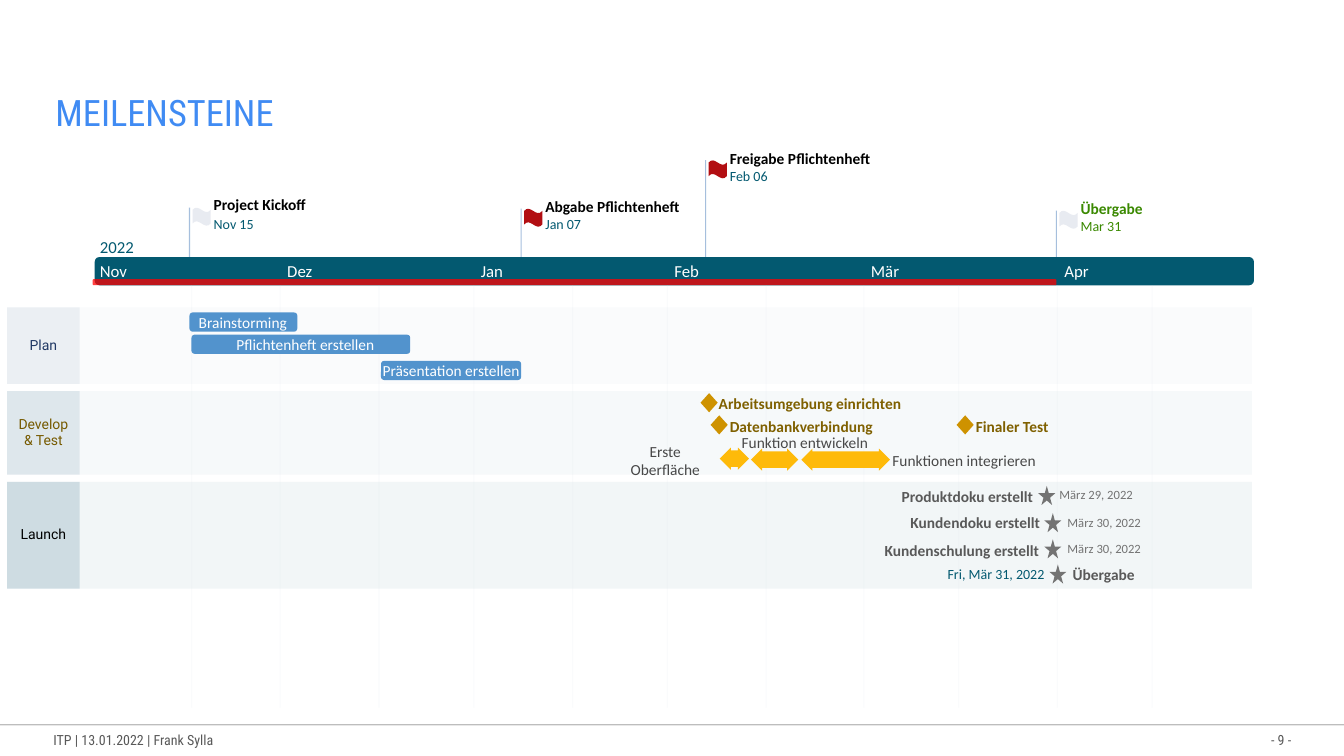
from dataclasses import dataclass
from typing import NamedTuple

from lxml.etree import SubElement
from pptx import Presentation
from pptx.dml.color import RGBColor
from pptx.enum.shapes import MSO_CONNECTOR as Connector, MSO_SHAPE as Shape
from pptx.enum.text import MSO_ANCHOR as Anchor, MSO_AUTO_SIZE as AutoSize, PP_ALIGN as Align
from pptx.oxml.ns import qn
from pptx.util import Inches, Pt

# The slide is a grid of 133.3 columns by 75 rows
CELL = Inches(0.1)
COLUMNS, ROWS = 133.33, 75
LEFT, CENTER, RIGHT = Align.LEFT, Align.CENTER, Align.RIGHT

COLORS = {
    "black": "000000", "white": "FFFFFF", "title": "408BF3", "teal": "035970",
    "plan": "DEE5EC", "develop": "C8D7E0", "launch": "ABC4CF",
    "plan text": "203864", "develop text": "765A00", "stem": "4F81BD",
    "task": "5293CD", "arrow": "FEBA0A", "progress": "FF0000",
    "diamond": "CE9200", "diamond text": "7F6000", "star": "737373",
    "gray": "595959", "dark gray": "484848", "pale flag": "E8EBF1",
    "red flag": "B20E12", "green": "3A8900",
}


class Box(NamedTuple):
    left: float
    top: float
    width: float
    height: float

    def lengths(self) -> list[int]:
        return [round(value * CELL) for value in self]


@dataclass
class Phase:
    name: str
    top: float
    height: float
    color: str
    text_color: str


@dataclass
class Milestone:
    name: str
    date: str
    left: float
    stem_top: float
    name_top: float
    date_top: float
    flag: str
    name_color: str = "black"
    date_color: str = "teal"


@dataclass
class Task:
    name: str
    bar: Box
    text_left: float
    text_width: float


@dataclass
class Label:
    text: str
    box: Box
    color: str
    align: Align = LEFT
    size: float = 11
    bold: bool = False


PHASES = [
    Phase("Plan", 30.5, 7.6, "plan", "plan text"),
    Phase("Develop\n& Test", 38.8, 8.3, "develop", "develop text"),
    Phase("Launch", 47.8, 10.6, "launch", "black"),
]
MILESTONES = [
    Milestone("Project Kickoff", "Nov 15", 18.8, 20.6, 19.3, 21.4, "pale flag"),
    Milestone("Freigabe Pflichtenheft", "Feb 06", 70, 15.9, 14.8, 16.6, "red flag"),
    Milestone("Abgabe Pflichtenheft", "Jan 07", 51.7, 20.7, 19.5, 21.4, "red flag"),
    Milestone("Übergabe", "Mar 31", 104.8, 20.9, 19.7, 21.6, "pale flag", "green", "green"),
]
MONTHS = {"Nov": 9.9, "Dez": 28.5, "Jan": 47.7, "Feb": 66.9, "Mär": 86.4, "Apr": 105.6}
GUIDES = [19, 27.8, 37.6, 47, 56.8, 66.2, 76, 85.7, 95.1, 104.9, 114.3]
TASKS = [
    Task("Brainstorming", Box(18.8, 31, 10.7, 1.9), 19.6, 9),
    Task("Pflichtenheft erstellen", Box(19, 33.2, 21.7, 1.9), 21.7, 17.2),
    Task("Präsentation erstellen", Box(37.8, 35.8, 13.9, 1.9), 37.3, 14.9),
]
ARROWS = [Box(71.4, 44.4, 2.9, 2.2), Box(74.5, 44.5, 4.7, 2.2), Box(79.5, 44.5, 8.8, 2.2)]
DIAMONDS = [(69.5, 39), (70.5, 41.2), (94.9, 41.2)]
STARS = [(103, 48.2), (103.6, 50.9), (103.6, 53.5), (104.1, 56)]
LABELS = [
    Label("Arbeitsumgebung einrichten", Box(71.3, 39.1, 19.7, 1.9), "diamond text", bold=True),
    Label("Datenbankverbindung", Box(72.4, 41.3, 14.3, 1.9), "diamond text", bold=True),
    Label("Finaler Test", Box(96.8, 41.3, 8.5, 1.9), "diamond text", bold=True),
    Label("Erste Oberfläche", Box(60.9, 44.7, 10.2, 1.9), "dark gray", CENTER),
    Label("Funktion entwickeln", Box(73.3, 42.9, 13.1, 1.9), "dark gray", CENTER),
    Label("Funktionen integrieren", Box(88, 44.7, 15.3, 1.9), "dark gray", CENTER),
    Label("Produktdoku erstellt", Box(88.5, 48.3, 14, 1.9), "gray", RIGHT, bold=True),
    Label("Kundendoku erstellt", Box(88.2, 50.9, 15, 1.9), "gray", RIGHT, bold=True),
    Label("Kundenschulung erstellt", Box(86.8, 53.6, 16.3, 1.9), "gray", RIGHT, bold=True),
    Label("Übergabe", Box(106.4, 56, 11.5, 1.9), "gray", bold=True),
    Label("März 29, 2022", Box(105.1, 48.3, 7.8, 1.5), "star", size=9),
    Label("März 30, 2022", Box(105.9, 51.1, 9.4, 1.5), "star", size=9),
    Label("März 30, 2022", Box(105.9, 53.7, 9.4, 1.5), "star", size=9),
    Label("Fri, Mär 31, 2022", Box(92.7, 56.1, 10.9, 1.7), "teal", RIGHT, 10),
]


def paint(fill, color: str, opacity: int) -> None:
    """Make a fill solid, with its opacity in percent."""
    fill.solid()
    fill.fore_color.rgb = RGBColor.from_string(COLORS[color])
    if opacity < 100:
        rgb = next(fill._xPr.iter(qn("a:srgbClr")))
        SubElement(rgb, qn("a:alpha")).set("val", str(opacity * 1000))


def draw_shape(slide, kind: Shape, box: Box, color: str, opacity: int = 100):
    shape = slide.shapes.add_shape(kind, *box.lengths())
    shape.shadow.inherit = False
    shape.line.fill.background()
    paint(shape.fill, color, opacity)
    return shape


def draw_line(slide, start: tuple, end: tuple, color: str, opacity: int, width: float = 0.75) -> None:
    ends = [round(value * CELL) for value in (*start, *end)]
    line = slide.shapes.add_connector(Connector.STRAIGHT, *ends)
    line.line.width = Pt(width)
    paint(line.line.fill, color, opacity)
    SubElement(line._element.spPr, qn("a:effectLst"))


def write(holder, text: str, *, color: str, size: float, font: str = "Calibri", bold: bool = False,
          align: Align = LEFT, anchor: Anchor = Anchor.MIDDLE, wrap: bool = True) -> None:
    frame = holder.text_frame
    frame.margin_left = frame.margin_right = frame.margin_top = frame.margin_bottom = 0
    frame.auto_size = AutoSize.NONE
    frame.word_wrap = wrap
    frame.vertical_anchor = anchor
    frame.text = text
    for paragraph in frame.paragraphs:
        paragraph.alignment = align
        for run in paragraph.runs:
            run.font.name, run.font.size, run.font.bold = font, Pt(size), bold
            run.font.color.rgb = RGBColor.from_string(COLORS[color])


def add_text(slide, box: Box, text: str, **style) -> None:
    write(slide.shapes.add_textbox(*box.lengths()), text, **style)


def draw_frame(slide) -> None:
    """Title, footer rule and footer texts."""
    title = slide.shapes.title
    title.left, title.top, title.width, title.height = Box(5.5, 4.6, 122.8, 8.7).lengths()
    write(title, "MEILENSTEINE", color="title", size=26, font="Roboto Condensed", anchor=Anchor.BOTTOM)
    draw_line(slide, (0, 71.9), (COLUMNS, 71.9), "black", 25, 1)
    footer = dict(color="gray", size=10, font="Roboto Condensed", wrap=False)
    add_text(slide, Box(5.3, 72.6, 16.8, 1.7), "ITP | 13.01.2022 | Frank Sylla", **footer)
    add_text(slide, Box(124, 72.6, 4.1, 1.7), "- 9 -", align=RIGHT, **footer)


def draw_phase(slide, phase: Phase) -> None:
    draw_shape(slide, Shape.RECTANGLE, Box(0.7, phase.top, 123.5, phase.height), phase.color, 15)
    draw_shape(slide, Shape.RECTANGLE, Box(0.7, phase.top, 7.2, phase.height), phase.color, 50)
    add_text(slide, Box(0.7, phase.top + phase.height / 2 - 0.9, 7.2, 1.6), phase.name,
             color=phase.text_color, size=10, font="Roboto", align=CENTER)


def draw_milestone(slide, item: Milestone) -> None:
    draw_line(slide, (item.left, item.stem_top), (item.left, 25.5), "stem", 50)
    draw_shape(slide, Shape.WAVE, Box(item.left + 0.3, item.stem_top, 1.8, 1.8), item.flag)
    text_left = item.left + 2.4
    add_text(slide, Box(text_left, item.name_top, 15, 1.9), item.name,
             color=item.name_color, size=11, bold=True)
    add_text(slide, Box(text_left, item.date_top, 5.8, 1.7), item.date, color=item.date_color, size=10)


def draw_axis(slide) -> None:
    draw_shape(slide, Shape.ROUNDED_RECTANGLE, Box(9.4, 25.5, 115, 2.8), "teal")
    draw_shape(slide, Shape.ROUNDED_RECTANGLE, Box(9.2, 27.7, 95.6, 0.6), "progress", 75)
    add_text(slide, Box(9.9, 23.5, 3.3, 2), "2022", color="teal", size=12, wrap=False)
    for month, left in MONTHS.items():
        add_text(slide, Box(left, 25.9, 2.6, 1.9), month, color="white", size=12, wrap=False)
    for left in GUIDES:
        draw_line(slide, (left, 28.3), (left, 70.2), "plan", 15)


def draw_schedule(slide) -> None:
    for task in TASKS:
        draw_shape(slide, Shape.ROUNDED_RECTANGLE, task.bar, "task")
        add_text(slide, Box(task.text_left, task.bar.top, task.text_width, task.bar.height),
                 task.name, color="white", size=11, align=CENTER)
    for box in ARROWS:
        arrow = draw_shape(slide, Shape.LEFT_RIGHT_ARROW, box, "arrow")
        arrow.adjustments[0] = 0.75
    for kind, color, places in ((Shape.DIAMOND, "diamond", DIAMONDS), (Shape.STAR_5_POINT, "star", STARS)):
        for left, top in places:
            draw_shape(slide, kind, Box(left, top, 1.7, 1.9), color)
    for label in LABELS:
        add_text(slide, label.box, label.text, color=label.color, size=label.size,
                 bold=label.bold, align=label.align)


def main() -> None:
    deck = Presentation()
    deck.slide_width, deck.slide_height = round(COLUMNS * CELL), ROWS * CELL
    slide = deck.slides.add_slide(deck.slide_layouts[5])
    draw_frame(slide)
    for phase in PHASES:
        draw_phase(slide, phase)
    for milestone in MILESTONES:
        draw_milestone(slide, milestone)
    draw_axis(slide)
    draw_schedule(slide)
    deck.save("out.pptx")


if __name__ == "__main__":
    main()
